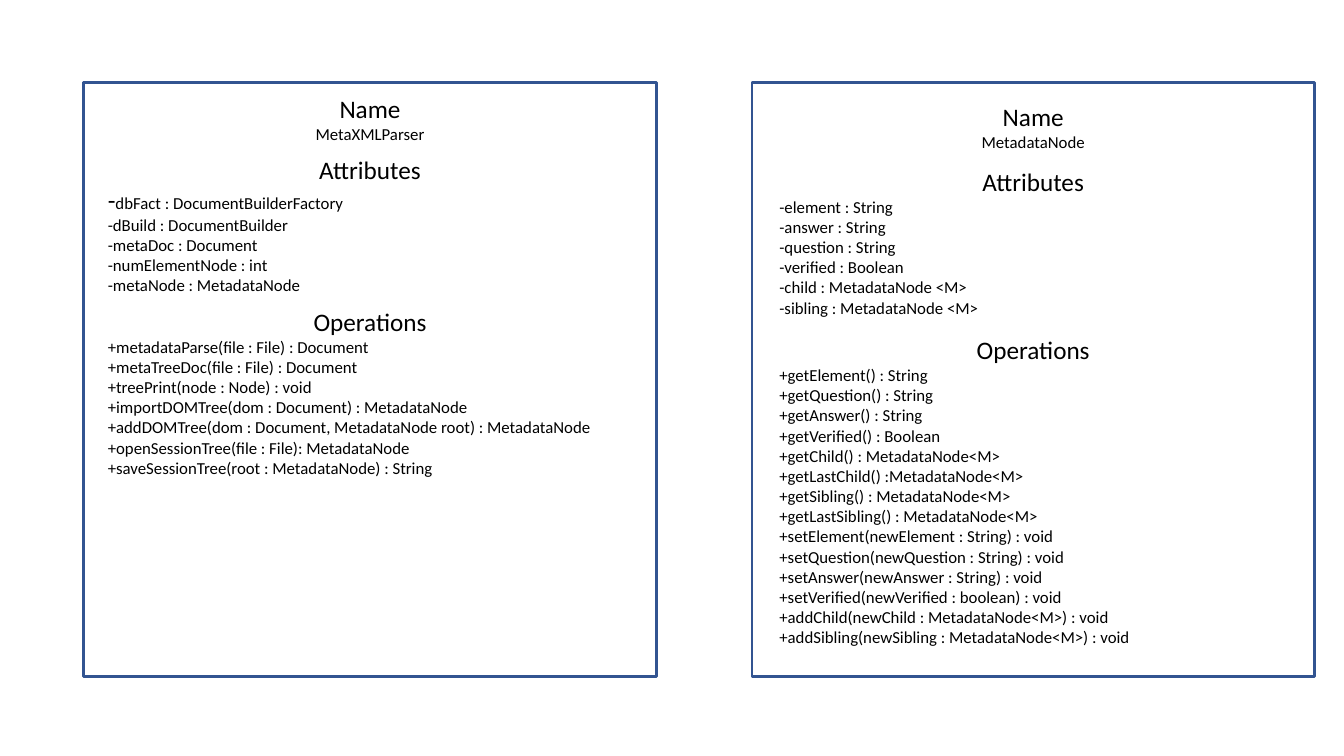
from dataclasses import dataclass

import pptx
import pptx.dml.color
import pptx.enum.shapes
import pptx.enum.text
import pptx.util

BORDER = pptx.dml.color.RGBColor(0x32, 0x54, 0x91)
BLACK = pptx.dml.color.RGBColor(0, 0, 0)
FONT = "Calibri"
HEADING_SIZE, MEMBER_SIZE = 18, 12
CENTER = pptx.enum.text.PP_ALIGN.CENTER
LEFT = pptx.enum.text.PP_ALIGN.LEFT

deck = pptx.Presentation()
deck.slide_width = pptx.util.Inches(13.33)
deck.slide_height = pptx.util.Inches(7.5)
slide = deck.slides.add_slide(deck.slide_layouts[6])

# Grid of 100 columns by 100 rows
CARD_TOP, CARD_HEIGHT = 10.93, 78.53
HEADING_ROWS, MEMBER_ROWS = 5.4, 2.69


def columns(count: float) -> int:
    return round(deck.slide_width * count / 100)


def rows(count: float) -> int:
    return round(deck.slide_height * count / 100)


@dataclass
class Section:
    heading: str
    top: float
    members: list[str]
    align: pptx.enum.text.PP_ALIGN = LEFT
    large_mark: str = ""  # heading-sized sign before the first member


@dataclass
class ClassCard:
    left: float
    width: float
    inset: float
    sections: list[Section]


def add_text(paragraph, text: str, *, size: float, align=LEFT, color=BLACK) -> None:
    paragraph.alignment = align
    run = paragraph.add_run()
    run.text = text
    run.font.name = FONT
    run.font.size = pptx.util.Pt(size)
    run.font.color.rgb = color


def draw_section(shapes, card: ClassCard, section: Section) -> None:
    box = shapes.add_textbox(
        columns(card.left + card.inset), rows(section.top),
        columns(card.width - 2 * card.inset),
        rows(HEADING_ROWS + MEMBER_ROWS * len(section.members)))
    frame = box.text_frame
    frame.word_wrap = True
    frame.auto_size = pptx.enum.text.MSO_AUTO_SIZE.SHAPE_TO_FIT_TEXT
    add_text(frame.paragraphs[0], section.heading, size=HEADING_SIZE, align=CENTER)
    for index, member in enumerate(section.members):
        paragraph = frame.add_paragraph()
        if index == 0 and section.large_mark:
            add_text(paragraph, section.large_mark, size=HEADING_SIZE)
        add_text(paragraph, member, size=MEMBER_SIZE, align=section.align)


def draw_card(card: ClassCard) -> None:
    shapes = slide.shapes.add_group_shape().shapes
    border = shapes.add_shape(
        pptx.enum.shapes.MSO_SHAPE.RECTANGLE,
        columns(card.left), rows(CARD_TOP), columns(card.width), rows(CARD_HEIGHT))
    border.shadow.inherit = False
    border.fill.background()
    border.line.color.rgb = BORDER
    border.line.width = pptx.util.Pt(2)
    for section in card.sections:
        draw_section(shapes, card, section)


# Class descriptions
parser_card = ClassCard(6.23, 42.6, 1.05, [
    Section("Name", 11.73, ["MetaXMLParser"], CENTER),
    Section("Attributes", 19.73, [
        "dbFact : DocumentBuilderFactory ",
        "-dBuild : DocumentBuilder ",
        "-metaDoc : Document ",
        "-numElementNode : int ",
        "-metaNode : MetadataNode ",
    ], large_mark="-"),
    Section("Operations", 39.87, [
        "+metadataParse(file : File) : Document",
        "+metaTreeDoc(file : File) : Document",
        "+treePrint(node : Node) : void",
        "+importDOMTree(dom : Document) : MetadataNode",
        "+addDOMTree(dom : Document, MetadataNode root) : MetadataNode",
        "+openSessionTree(file : File): MetadataNode",
        "+saveSessionTree(root : MetadataNode) : String",
    ]),
])
node_card = ClassCard(55.95, 41.85, 1.3, [
    Section("Name", 12.8, ["MetadataNode"], CENTER),
    Section("Attributes", 21.33, [
        "-element : String",
        "-answer : String",
        "-question : String",
        "-verified : Boolean",
        "-child : MetadataNode <M>",
        "-sibling : MetadataNode <M>",
    ]),
    Section("Operations", 43.6, [
        "+getElement() : String",
        "+getQuestion() : String",
        "+getAnswer() : String",
        "+getVerified() : Boolean",
        "+getChild() : MetadataNode<M>",
        "+getLastChild() :MetadataNode<M>",
        "+getSibling() : MetadataNode<M>",
        "+getLastSibling() : MetadataNode<M>",
        "+setElement(newElement : String) : void",
        "+setQuestion(newQuestion : String) : void",
        "+setAnswer(newAnswer : String) : void",
        "+setVerified(newVerified : boolean) : void",
        "+addChild(newChild : MetadataNode<M>) : void",
        "+addSibling(newSibling : MetadataNode<M>) : void",
    ]),
])

for class_card in (parser_card, node_card):
    draw_card(class_card)

deck.save("out.pptx")
